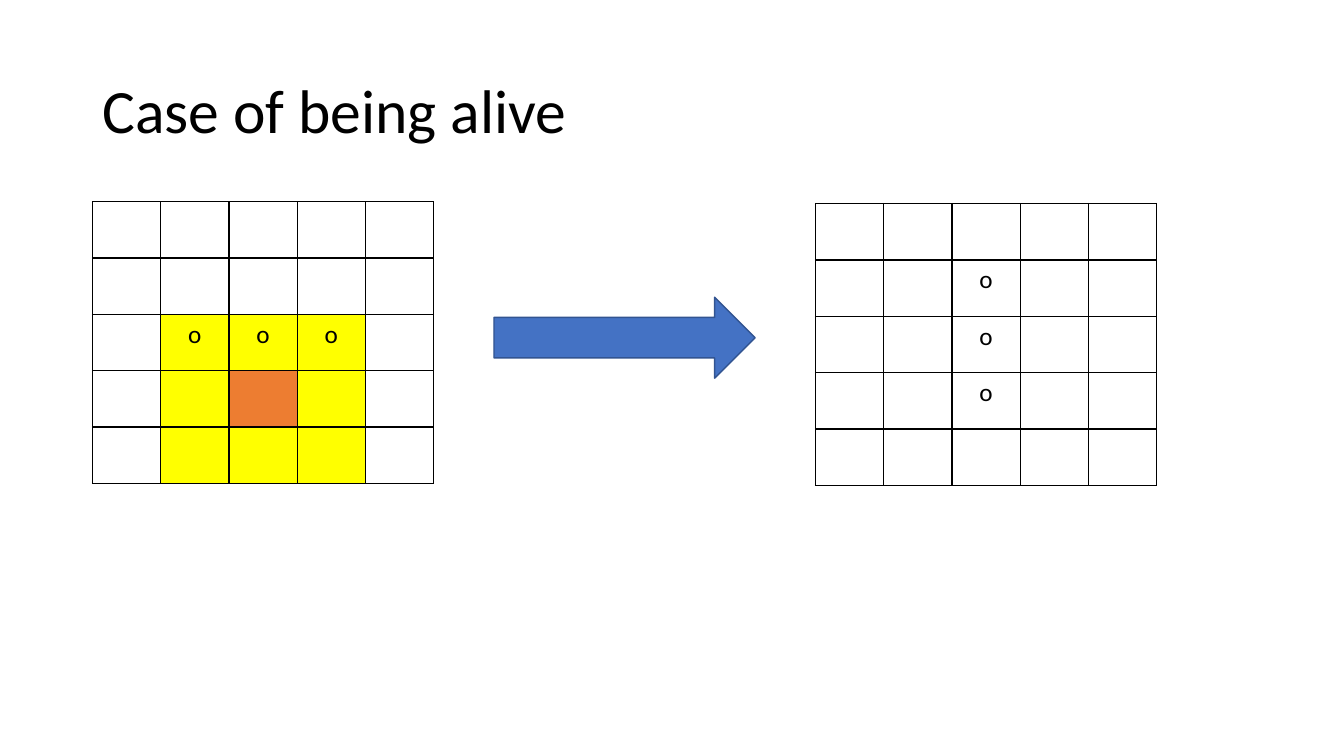
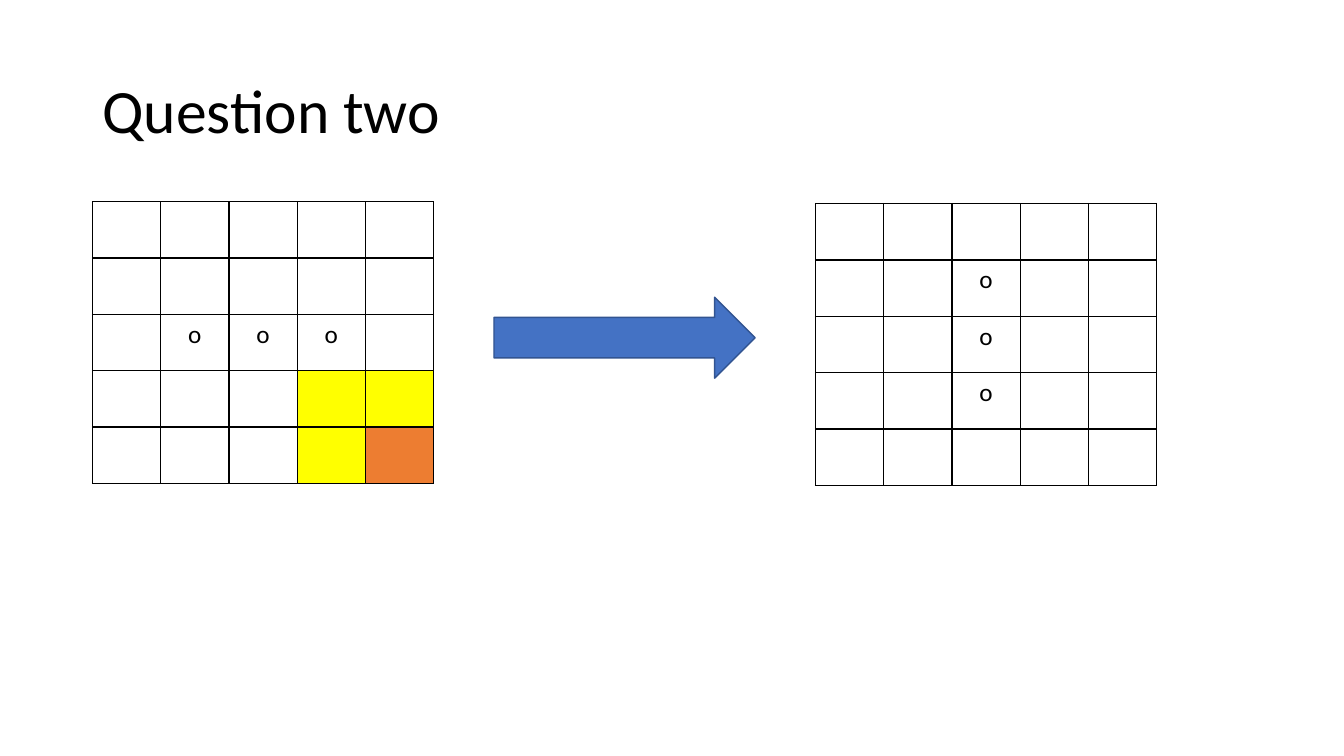
from lxml.etree import SubElement as Sub
from pptx import Presentation as Deck
from pptx.dml.color import RGBColor as RGB
from pptx.enum.shapes import MSO_SHAPE as Form
from pptx.enum.text import MSO_ANCHOR as Anchor, PP_ALIGN as Align
from pptx.oxml.ns import qn
from pptx.util import Cm, Pt

BLACK = RGB(0x00, 0x00, 0x00)
WHITE = RGB(0xFF, 0xFF, 0xFF)
YELLOW = RGB(0xFF, 0xFF, 0x00)
ORANGE = RGB(0xED, 0x7D, 0x31)
BLUE = RGB(0x44, 0x72, 0xC4)
NAVY = RGB(0x32, 0x54, 0x91)

FONT = "Calibri"
SIZE = 5
CELL_W, CELL_H = Cm(1.72), Cm(1.42)
TINTS = {".": WHITE, "y": YELLOW, "x": ORANGE}

# Live cells as (row, column)
ROW_LIVE = {(2, 1), (2, 2), (2, 3)}
COL_LIVE = {(1, 2), (2, 2), (3, 2)}
PLAIN = ["....."] * SIZE

# Title and tints of the first grid: x is the cell in question, y its neighbours
CASES = [
    ("Case of being alive", [".....", ".....", ".yyy.", ".yxy.", ".yyy."]),
    ("Question two", [".....", ".....", ".....", "...yy", "...yx"]),
]


def style(para, size, align):
    """Set the font and alignment of a paragraph."""
    para.alignment = align
    para.font.name = FONT
    para.font.size = Pt(size)
    para.font.color.rgb = BLACK


def add_title(slide, text):
    """Place and format the title."""
    title = slide.shapes.title
    title.left, title.top = Cm(2.33), Cm(1.01)
    title.width, title.height = Cm(29.21), Cm(3.68)
    frame = title.text_frame
    frame.text = text
    frame.vertical_anchor = Anchor.MIDDLE
    para = frame.paragraphs[0]
    para.line_spacing = 0.9
    style(para, 44, Align.LEFT)


def add_edges(cell):
    """Draw a thin black border round a cell."""
    props = cell._tc.get_or_add_tcPr()
    for side in ("a:lnL", "a:lnR", "a:lnT", "a:lnB"):
        line = Sub(props, qn(side), w=str(Pt(1)))
        fill = Sub(line, qn("a:solidFill"))
        Sub(fill, qn("a:srgbClr"), val=str(BLACK))


def add_grid(slide, left, top, live, tints):
    """Add a square board with its live cells and tints."""
    table = slide.shapes.add_table(
        SIZE, SIZE, left, top, CELL_W * SIZE, CELL_H * SIZE).table
    table.first_row = table.horz_banding = False
    for col in table.columns:
        col.width = CELL_W
    for row, line in enumerate(tints):
        table.rows[row].height = CELL_H
        for col, tint in enumerate(line):
            cell = table.cell(row, col)
            add_edges(cell)
            cell.fill.solid()
            cell.fill.fore_color.rgb = TINTS[tint]
            if (row, col) in live:
                cell.text = "o"
                style(cell.text_frame.paragraphs[0], 18, Align.CENTER)


def add_arrow(slide):
    """Add the block arrow between the boards."""
    arrow = slide.shapes.add_shape(
        Form.RIGHT_ARROW, Cm(12.45), Cm(7.49), Cm(6.58), Cm(2.04))
    arrow.shadow.inherit = False
    arrow.fill.solid()
    arrow.fill.fore_color.rgb = BLUE
    arrow.line.color.rgb = NAVY
    arrow.line.width = Pt(1)


def main():
    """Build and save the slides."""
    deck = Deck()
    deck.slide_width, deck.slide_height = Cm(33.87), Cm(19.05)
    plan = deck.slide_layouts.get_by_name("Title Only")
    for title, tints in CASES:
        slide = deck.slides.add_slide(plan)
        add_title(slide, title)
        add_grid(slide, Cm(2.33), Cm(5.08), ROW_LIVE, tints)
        add_grid(slide, Cm(20.55), Cm(5.13), COL_LIVE, PLAIN)
        add_arrow(slide)
    deck.save("out.pptx")


main()
